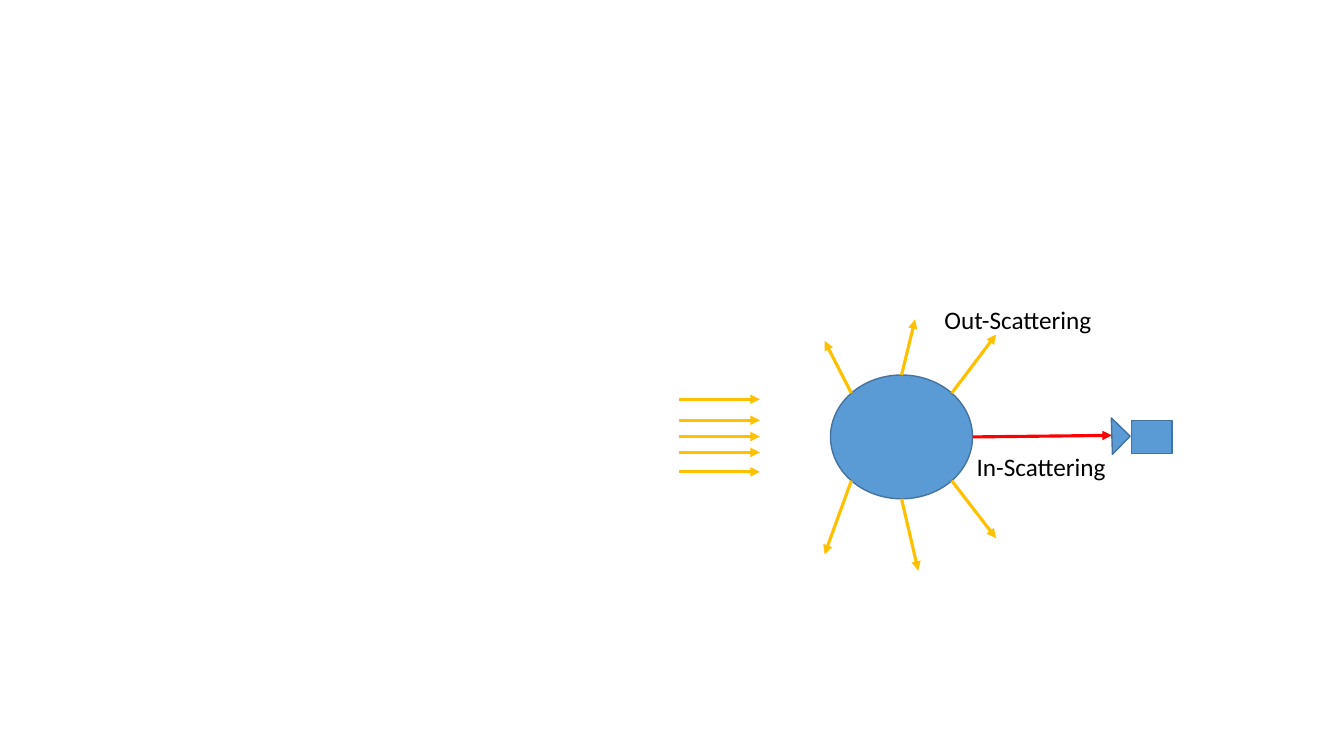
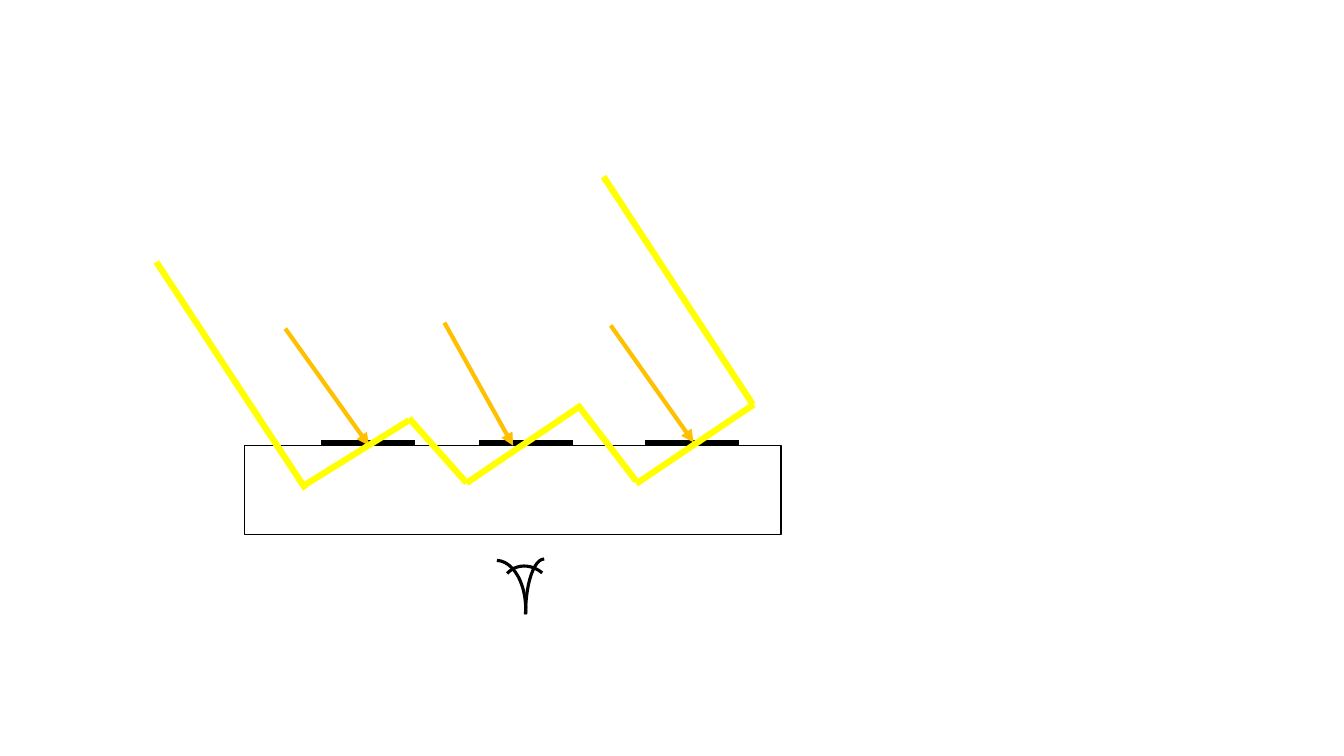
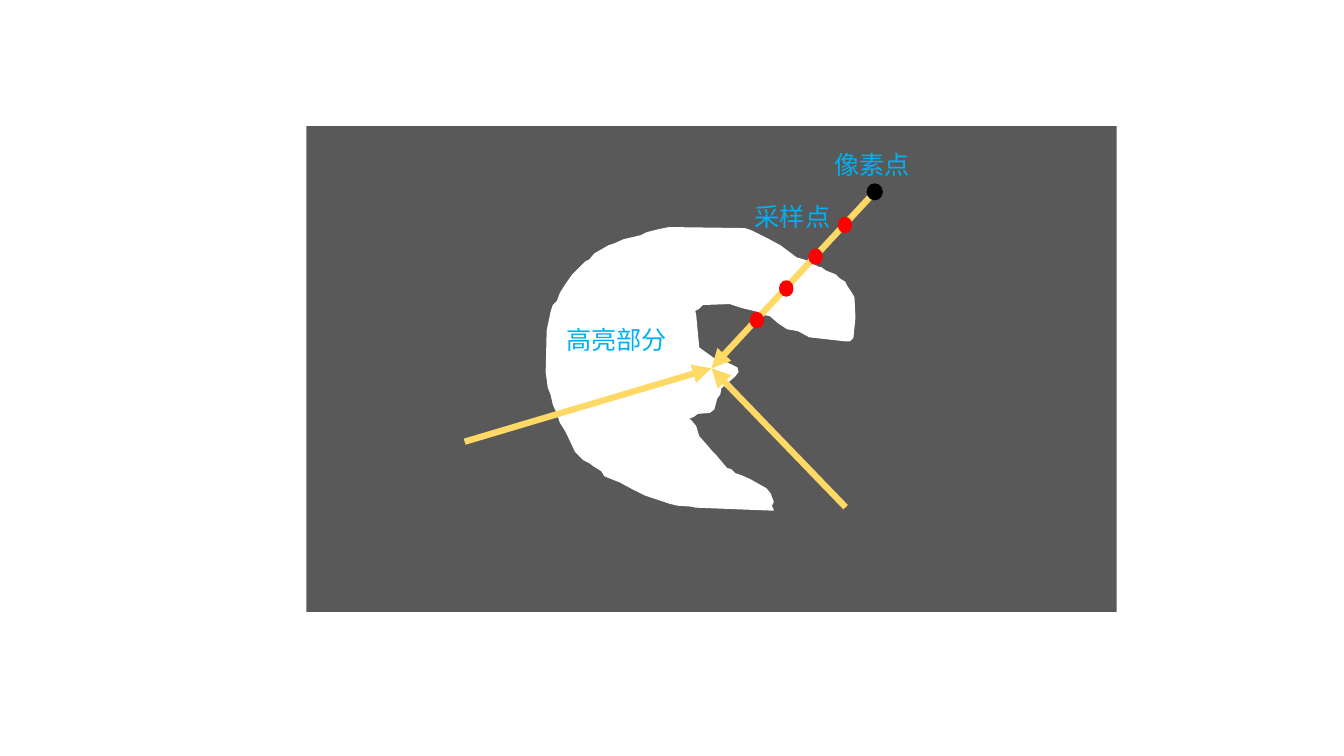
from math import cos, radians, sin

from lxml.etree import SubElement
from pptx import Presentation
from pptx.dml.color import RGBColor
from pptx.enum.shapes import MSO_CONNECTOR as Connector, MSO_SHAPE as Shape
from pptx.oxml.ns import qn
from pptx.util import Cm, Pt

# Shared look
FONT = "Calibri"
BLUE, BLUE_EDGE = "5B9BD5", "43739E"
LIGHT, RAY, GLOW = "FFC000", "FFFF00", "FFD966"
RED, BLACK, WHITE = "FF0000", "000000", "FFFFFF"
GREY, LABEL_BLUE = "595959", "00B0F0"

# Bright crescent, hundredths of an inch from its top left corner
CRESCENT = [
    (225, 280), (148, 277), (144, 276), (130, 275), (122, 273), (107, 268),
    (98, 265), (86, 259), (73, 252), (58, 246), (55, 241), (47, 236),
    (43, 233), (37, 230), (29, 222), (22, 207), (19, 201), (14, 193),
    (11, 184), (7, 175), (5, 166), (2, 158), (0, 143), (1, 102),
    (5, 83), (7, 77), (11, 73), (14, 65), (19, 57), (26, 47),
    (39, 34), (43, 32), (48, 26), (62, 18), (68, 16), (77, 12),
    (94, 8), (100, 5), (112, 2), (122, 0), (196, 1), (200, 2),
    (205, 4), (219, 11), (232, 18), (244, 27), (248, 30), (255, 32),
    (265, 36), (269, 39), (273, 40), (277, 43), (287, 47), (291, 51),
    (296, 54), (298, 58), (302, 64), (305, 69), (306, 89), (304, 109),
    (301, 112), (296, 112), (261, 108), (250, 102), (239, 100), (230, 94),
    (222, 87), (216, 86), (211, 83), (194, 79), (182, 75), (155, 76),
    (151, 80), (147, 82), (148, 87), (151, 119), (155, 122), (169, 132),
    (179, 134), (189, 139), (190, 143), (187, 147), (173, 159), (172, 165),
    (169, 169), (166, 180), (162, 183), (150, 184), (146, 187), (139, 190),
    (143, 191), (148, 197), (151, 207), (159, 216), (164, 222), (168, 226),
    (179, 239), (183, 240), (187, 244), (193, 246), (202, 250), (209, 254),
    (218, 259), (222, 264), (225, 272), (223, 276),
]


def color(value):
    return RGBColor.from_string(value)


def style(shape, fill=None, edge=None, width=1):
    shape.shadow.inherit = False
    if fill:
        shape.fill.solid()
        shape.fill.fore_color.rgb = color(fill)
    else:
        shape.fill.background()
    if edge:
        shape.line.color.rgb = color(edge)
        shape.line.width = Pt(width)
    else:
        shape.line.fill.background()


def add_figure(page, kind, left, top, width, height, fill=None, edge=None,
               line_width=1, turn=0):
    shape = page.shapes.add_shape(kind, Cm(left), Cm(top), Cm(width), Cm(height))
    style(shape, fill, edge, line_width)
    shape.rotation = turn


def add_line(page, start, end, stroke, width, arrow=False):
    line = page.shapes.add_connector(
        Connector.STRAIGHT, *(Cm(value) for value in (*start, *end)))
    line.line.color.rgb = color(stroke)
    line.line.width = Pt(width)
    properties = line.element.spPr
    if arrow:
        SubElement(properties.find(qn("a:ln")), qn("a:tailEnd"), type="triangle")
    SubElement(properties, qn("a:effectLst"))


def add_label(page, left, top, width, text, ink, wrap=True):
    box = page.shapes.add_textbox(Cm(left), Cm(top), Cm(width), Cm(1.02))
    box.text_frame.word_wrap = wrap
    para = box.text_frame.paragraphs[0]
    span = para.add_run()
    span.text = text
    span.font.name = FONT
    span.font.size = Pt(18)
    span.font.color.rgb = color(ink)


# Slide 1: light scattered by a particle
def draw_beams(page, left, top, width):
    for drop in (0, 0.53, 0.94, 1.34, 1.83):
        add_line(page, (left, top + drop), (left + width, top + drop), LIGHT, 2.25, True)


def draw_camera(page, left, top):
    add_figure(page, Shape.RECTANGLE, left + 0.83, top, 1.02, 0.84, BLUE, BLUE_EDGE)
    add_figure(page, Shape.RIGHT_TRIANGLE, left, top + 0.08, 0.66, 0.64,
               BLUE, BLUE_EDGE, turn=224.1)


def draw_particle(page, left, top, width, height):
    add_figure(page, Shape.OVAL, left, top, width, height, BLUE, BLUE_EDGE)
    middle_x, middle_y = left + width / 2, top + height / 2
    # Angle on the rim, arrow tip from the centre, colour
    for angle, tip_x, tip_y, stroke in (
        (270, 0.34, -2.96, LIGHT), (90, 0.42, 3.37, LIGHT),
        (225, -1.94, -2.42, LIGHT), (315, 2.38, -2.58, LIGHT),
        (135, -1.94, 2.96, LIGHT), (45, 2.38, 2.55, LIGHT),
        (0, 5.3, -0.04, RED),
    ):
        rim = (middle_x + width / 2 * cos(radians(angle)),
               middle_y + height / 2 * sin(radians(angle)))
        add_line(page, rim, (middle_x + tip_x, middle_y + tip_y), stroke, 2.25, True)
    add_label(page, left + 2.62, top - 1.91, 4.29, "Out-Scattering", BLACK, False)
    add_label(page, left + 3.43, top + 1.8, 3.81, "In-Scattering", BLACK, False)


# Slide 2: rays through a slab, seen from below
def draw_slab(page, left, top, width, height):
    def at(point):
        return left + point[0], top + point[1]

    add_figure(page, Shape.RECTANGLE, left, top, width, height, edge=BLACK)
    for mark in (1.93, 5.9, 10.09):
        add_line(page, at((mark, -0.08)), at((mark + 2.36, -0.08)), BLACK, 3)
    for start, end in (
        ((1.02, -2.95), (3.13, 0)),
        ((5.03, -3.1), (6.76, 0)),
        ((9.22, -3.03), (11.31, -0.08)),
    ):
        add_line(page, at(start), at(end), LIGHT, 3, True)
    for start, end in (
        ((-2.23, -4.63), (1.53, 1.09)),
        ((1.48, 1.01), (4.14, -0.64)),
        ((4.14, -0.69), (5.59, 0.94)),
        ((5.59, 0.94), (8.44, -0.99)),
        ((8.38, -1.04), (9.86, 0.89)),
        ((9.86, 0.96), (12.83, -1.04)),
        ((9.04, -6.78), (12.8, -1.04)),
    ):
        add_line(page, at(start), at(end), RAY, 4.5)


def draw_eye(page, left, top):
    for right, down, width, height, turn in (
        (0.64, 0.89, 2.79, 0.94, 270),
        (0, 0, 1.57, 2.64, 2.6),
        (1.02, 0.1, 1.17, 1.32, 310.6),
    ):
        add_figure(page, Shape.ARC, left + right, top + down, width, height,
                   edge=BLACK, line_width=2.25, turn=turn)


# Slide 3: sampling towards the light source
def draw_crescent(page, left, top):
    builder = page.shapes.build_freeform(*CRESCENT[0], scale=Cm(2.54) / 100)
    builder.add_line_segments(CRESCENT[1:], close=True)
    style(builder.convert_to_shape(Cm(left), Cm(top)), WHITE, WHITE)


def draw_sampling(page, left, top, width, height):
    add_figure(page, Shape.RECTANGLE, left, top, width, height, GREY)
    draw_crescent(page, left + 6.05, top + 2.56)
    source = (left + 10.21, top + 6.1)
    for right, down in ((14.33, 1.65), (3.99, 7.95), (13.59, 9.6)):
        add_line(page, (left + right, top + down), source, GLOW, 4.5, True)
    # Pixel and its evenly spaced samples
    add_figure(page, Shape.OVAL, left + 14.12, top + 1.44, 0.41, 0.43, BLACK)
    for step in range(4):
        add_figure(page, Shape.OVAL, left + 13.41 - 0.74 * step,
                   top + 2.3 + 0.8 * step, 0.33, 0.38, RED, RED)
    for right, down, label_width, text in (
        (6.3, 4.87, 3.23, "高亮部分"),
        (11.05, 1.77, 2.54, "采样点"),
        (13.06, 0.45, 2.54, "像素点"),
    ):
        add_label(page, left + right, top + down, label_width, text, LABEL_BLUE)


def main():
    deck = Presentation()
    deck.slide_width, deck.slide_height = Cm(33.87), Cm(19.05)
    scattering, refraction, sampling = (
        deck.slides.add_slide(deck.slide_layouts[6]) for _ in range(3))

    draw_beams(scattering, 17.1, 10.06, 2.05)
    draw_camera(scattering, 27.69, 10.59)
    draw_particle(scattering, 20.93, 9.45, 3.58, 3.12)

    draw_slab(refraction, 6.17, 11.23, 13.51, 2.24)
    draw_eye(refraction, 11.68, 14.12)

    draw_sampling(sampling, 7.72, 3.18, 20.42, 12.24)
    deck.save("out.pptx")


if __name__ == "__main__":
    main()
